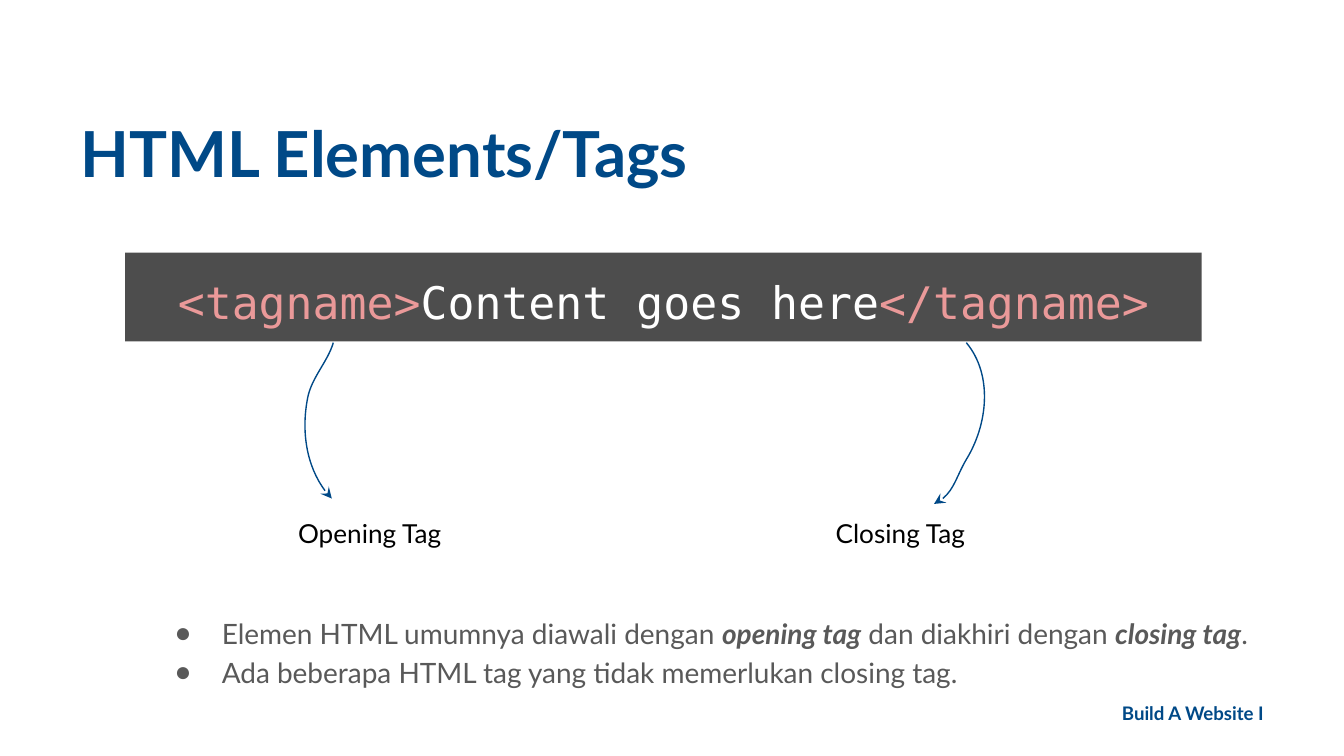
from dataclasses import dataclass

from lxml.etree import SubElement
from pptx import Presentation
from pptx.dml.color import RGBColor
from pptx.enum.shapes import MSO_SHAPE as Preset
from pptx.enum.text import MSO_ANCHOR as Anchor, MSO_AUTO_SIZE as AutoSize, PP_ALIGN as Align
from pptx.oxml.ns import qn
from pptx.util import Pt

COLORS = {
    "navy": "004987",
    "panel": "4D4D4D",
    "tag": "EA9999",
    "white": "FFFFFF",
    "black": "000000",
    "grey": "595959",
}


@dataclass(frozen=True)
class Area:
    left: float
    top: float
    width: float
    height: float

    def lengths(self) -> tuple:
        return tuple(Pt(v) for v in (self.left, self.top, self.width, self.height))


@dataclass(frozen=True)
class Span:
    text: str
    size: float
    color: str
    font: str = "Lato"
    bold: bool = False
    italic: bool = False


@dataclass(frozen=True)
class Label:
    area: Area
    span: Span
    align: Align = Align.LEFT


@dataclass(frozen=True)
class Curve:
    """A start point followed by three points for each Bézier segment."""
    points: tuple


def rgb(name: str) -> RGBColor:
    return RGBColor.from_string(COLORS[name])


def place(shape, area: Area) -> None:
    shape.left, shape.top, shape.width, shape.height = area.lengths()


def prepare_frame(shape, anchor=Anchor.TOP):
    frame = shape.text_frame
    settings = {"word_wrap": True, "auto_size": AutoSize.NONE, "vertical_anchor": anchor}
    settings |= {f"margin_{side}": Pt(7.2) for side in ("left", "top", "right", "bottom")}
    for name, value in settings.items():
        setattr(frame, name, value)
    return frame


def write(para, spans, align=Align.LEFT, line_spacing=1.0) -> None:
    settings = {"alignment": align, "line_spacing": line_spacing, "space_before": Pt(0)}
    for name, value in settings.items():
        setattr(para, name, value)
    for span in spans:
        run = para.add_run()
        run.text = span.text
        formats = {"name": span.font, "size": Pt(span.size),
                   "bold": span.bold, "italic": span.italic}
        for name, value in formats.items():
            setattr(run.font, name, value)
        run.font.color.rgb = rgb(span.color)


def add_bullet(para, color: str) -> None:
    props = para._p.get_or_add_pPr()
    props.set("marL", str(Pt(36)))
    props.set("indent", str(-Pt(25.2)))
    SubElement(SubElement(props, qn("a:buClr")), qn("a:srgbClr"), val=COLORS[color])
    SubElement(props, qn("a:buChar"), char="●")


def add_label(page, label: Label) -> None:
    box = page.shapes.add_textbox(*label.area.lengths())
    write(prepare_frame(box).paragraphs[0], [label.span], label.align)


def add_code_panel(page, area: Area, spans) -> None:
    panel = page.shapes.add_shape(Preset.RECTANGLE, *area.lengths())
    panel.shadow.inherit = False
    panel.fill.solid()
    panel.fill.fore_color.rgb = rgb("panel")
    panel.line.fill.background()
    write(prepare_frame(panel).paragraphs[0], spans, Align.CENTER, 1.15)


def add_curved_arrow(page, curve: Curve) -> None:
    start, *others = [(Pt(x), Pt(y)) for x, y in curve.points]
    builder = page.shapes.build_freeform(*start)
    builder.add_line_segments(others, close=False)
    arrow = builder.convert_to_shape()
    arrow.shadow.inherit = False
    arrow.fill.background()
    arrow.line.color.rgb = rgb("navy")
    arrow.line.width = Pt(0.75)
    SubElement(arrow.line._get_or_add_ln(), qn("a:tailEnd"), type="stealth")

    # Every three straight segments become one cubic segment.
    outline = next(arrow._element.iter(qn("a:path")))
    steps = outline.findall(qn("a:lnTo"))
    for first in range(0, len(steps), 3):
        cubic = SubElement(outline, qn("a:cubicBezTo"))
        for step in steps[first:first + 3]:
            cubic.append(step[0])
            outline.remove(step)


TITLE_AREA = Area(36, 66.2, 404.6, 30.2)
PANEL_AREA = Area(67, 135.4, 576.7, 47.5)
LIST_AREA = Area(75.6, 320.4, 601, 33.8)

CODE = [
    Span(text, 24, color, "DejaVu Sans Mono")
    for text, color in (("<tagname>", "tag"), ("Content goes here", "white"),
                        ("</tagname>", "tag"))
]

LABELS = [
    Label(Area(522, 368.6, 162, 26.6), Span("Build A Website I", 10, "navy", bold=True), Align.RIGHT),
    Label(Area(152.6, 270, 119.5, 30.2), Span("Opening Tag", 14, "black")),
    Label(Area(440.6, 270, 119.5, 30.2), Span("Closing Tag", 14, "black")),
]

ARROWS = [
    Curve(((178.6, 183.6), (175.7, 193.7), (167, 202.3), (164.9, 213.1),
           (161.3, 231.1), (164.9, 254.2), (177.8, 267.1))),
    Curve(((517.7, 183.6), (532.1, 200.9), (529.2, 227.5), (517.7, 246.2),
           (512.6, 254.9), (510.5, 265.7), (500.4, 270))),
]

# Each bullet is a list of (text, emphasised) pieces.
BULLETS = [
    [("Elemen HTML umumnya diawali dengan ", False), ("opening tag", True),
     (" dan diakhiri dengan ", False), ("closing tag", True), (".", False)],
    [("Ada beberapa HTML tag yang tidak memerlukan closing tag.", False)],
]


def main() -> None:
    deck = Presentation()
    deck.slide_width, deck.slide_height = Pt(720), Pt(405)
    page = deck.slides.add_slide(deck.slide_layouts[1])

    title = page.shapes.title
    place(title, TITLE_AREA)
    write(prepare_frame(title, Anchor.MIDDLE).paragraphs[0],
          [Span("HTML Elements/Tags", 34, "navy", bold=True)])

    add_code_panel(page, PANEL_AREA, CODE)
    for curve in ARROWS:
        add_curved_arrow(page, curve)
    for label in LABELS:
        add_label(page, label)

    body = page.placeholders[1]
    place(body, LIST_AREA)
    frame = prepare_frame(body)
    for index, pieces in enumerate(BULLETS):
        para = frame.add_paragraph() if index else frame.paragraphs[0]
        add_bullet(para, "grey")
        write(para, [Span(text, 15, "grey", bold=strong, italic=strong)
                     for text, strong in pieces], line_spacing=1.15)

    deck.save("out.pptx")


if __name__ == "__main__":
    main()
